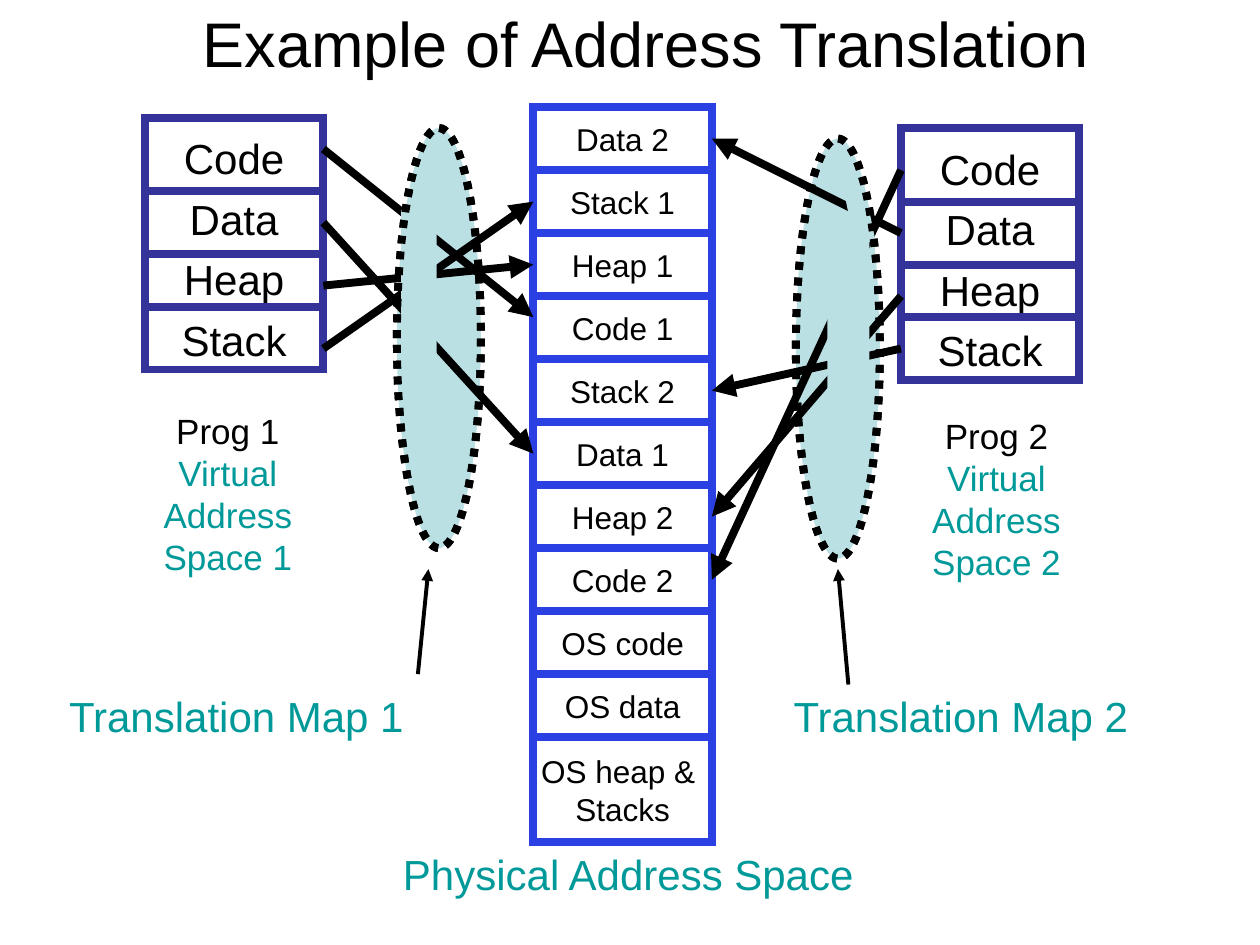
from lxml import etree
from pptx import Presentation
from pptx import util as u
from pptx.dml.color import RGBColor
from pptx.enum import dml, shapes, text
from pptx.oxml.ns import qn

PX = u.Inches(1) // 120
BLACK, WHITE, TEAL, PALE = "000000", "FFFFFF", "009999", "BBE0E3"
NAVY, BLUE = "333399", "2A40E2"
RECT, OVAL = shapes.MSO_SHAPE.RECTANGLE, shapes.MSO_SHAPE.OVAL
LINE = shapes.MSO_CONNECTOR.STRAIGHT
rgb = RGBColor.from_string


def paint(item, fill=None, line=None, width=4.5, dots=False, head=False):
    """Style a shape or a connector and take away its shadow."""
    if fill:
        item.fill.solid()
        item.fill.fore_color.rgb = rgb(fill)
    elif hasattr(item, "fill"):
        item.fill.background()
    props = item._element.spPr
    if line:
        item.line.color.rgb = rgb(line)
        item.line.width = u.Pt(width)
        if dots:
            item.line.dash_style = dml.MSO_LINE.ROUND_DOT
        stroke = props.find(qn("a:ln"))
        etree.SubElement(stroke, qn("a:miter"), lim="800000")
        if head:
            etree.SubElement(stroke, qn("a:tailEnd"), type="triangle")
    else:
        item.line.fill.background()
    etree.SubElement(props, qn("a:effectLst"))


def write(item, words, size, color=BLACK, rest=None, center=True,
          middle=True, space=None, wrap=False, grow=False):
    """Write one paragraph per line; rest colours all but the first."""
    frame = item.text_frame
    frame.text = words
    frame.word_wrap = wrap
    anchor = text.MSO_ANCHOR
    frame.vertical_anchor = anchor.MIDDLE if middle else anchor.TOP
    if grow:
        frame.auto_size = text.MSO_AUTO_SIZE.SHAPE_TO_FIT_TEXT
    for i, para in enumerate(frame.paragraphs):
        para.alignment = text.PP_ALIGN.CENTER if center else text.PP_ALIGN.LEFT
        if space:
            para.line_spacing = space
        para.font.name = "Arial"
        para.font.size = u.Pt(size)
        para.font.color.rgb = rgb(rest if rest and i else color)


deck = Presentation()
deck.slide_width, deck.slide_height = 1200 * PX, 900 * PX
slide = deck.slides.add_slide(deck.slide_layouts[6])
tree = slide.shapes

# Translation maps
maps = [(378, 122), (758, 132)]
for x, y in maps:
    oval = tree.add_shape(OVAL, x * PX, y * PX, 80 * PX, 400 * PX)
    paint(oval, PALE, BLACK, dots=True)

title = tree.add_textbox(70 * PX, 0, 1090 * PX, 80 * PX)
write(title, "Example of Address Translation", 36, wrap=True)

for num, x, y in [(1, 142, 384), (2, 874, 389)]:
    label = tree.add_textbox(x * PX, y * PX, 150 * PX, 172 * PX)
    write(label, f"Prog {num}\nVirtual\nAddress\nSpace {num}", 20,
          rest=TEAL, middle=False, grow=True)

# Virtual address spaces
for x, y in [(138, 112), (858, 122)]:
    group = tree.add_group_shape().shapes
    box = group.add_shape(RECT, x * PX, y * PX, 170 * PX, 240 * PX)
    paint(box, WHITE, NAVY)
    write(box, "Code\nData\nHeap\nStack", 24, space=1.2)
    for gap in (70, 130, 180):
        rule = group.add_connector(
            LINE, x * PX, (y + gap) * PX, (x + 170) * PX, (y + gap) * PX)
        paint(rule, line=NAVY)

# Physical memory
names = ["Data 2", "Stack 1", "Heap 1", "Code 1", "Stack 2", "Data 1",
         "Heap 2", "Code 2", "OS code", "OS data", "OS heap & \nStacks"]
group = tree.add_group_shape().shapes
cells = {}
for i, name in enumerate(names):
    high = 100 if "\n" in name else 60
    cell = group.add_shape(RECT, 508 * PX, (102 + 60 * i) * PX, 170 * PX, high * PX)
    paint(cell, WHITE, BLUE)
    write(cell, name, 18)
    cells[name] = cell

# Arrows from virtual to physical memory
arrow = tree.add_connector(LINE, 308 * PX, 142 * PX, 508 * PX, 302 * PX)
paint(arrow, line=BLACK, head=True)
for x, y, end, side, name in [
    (308, 212, 508, 1, "Data 1"),
    (308, 272, 508, 1, "Heap 1"),
    (308, 332, 508, 1, "Stack 1"),
    (858, 162, 678, 3, "Code 2"),
    (858, 222, 678, 3, "Data 2"),
    (858, 282, 678, 3, "Heap 2"),
    (858, 332, 678, 3, "Stack 2"),
]:
    arrow = tree.add_connector(LINE, x * PX, y * PX, end * PX, y * PX)
    arrow.end_connect(cells[name], side)
    paint(arrow, line=BLACK, head=True)

# Patches hide the arrows inside the maps
for x, y, wide, high, turn in [
    (382, 200, 34, 180, 0),
    (788, 222, 40, 190, 0),
    (808, 172, 20, 60, 348.5),
]:
    patch = tree.add_shape(RECT, x * PX, y * PX, wide * PX, high * PX)
    patch.rotation = turn
    paint(patch, PALE)
for x, y in maps:
    rim = tree.add_shape(OVAL, x * PX, y * PX, 80 * PX, 400 * PX)
    paint(rim, line=BLACK, dots=True)

# Captions
for words, x, y, wide in [
    ("Translation Map 1", 54, 652, 346),
    ("Translation Map 2", 744, 652, 346),
    ("Physical Address Space", 372, 802, 458),
]:
    label = tree.add_textbox(x * PX, y * PX, wide * PX, 60 * PX)
    write(label, words, 24, TEAL, center=False, middle=False, grow=True)
for x, y, end in [(398, 642, 408), (808, 652, 798)]:
    arrow = tree.add_connector(LINE, x * PX, y * PX, end * PX, 542 * PX)
    paint(arrow, line=BLACK, width=2.25, head=True)

deck.save("out.pptx")
